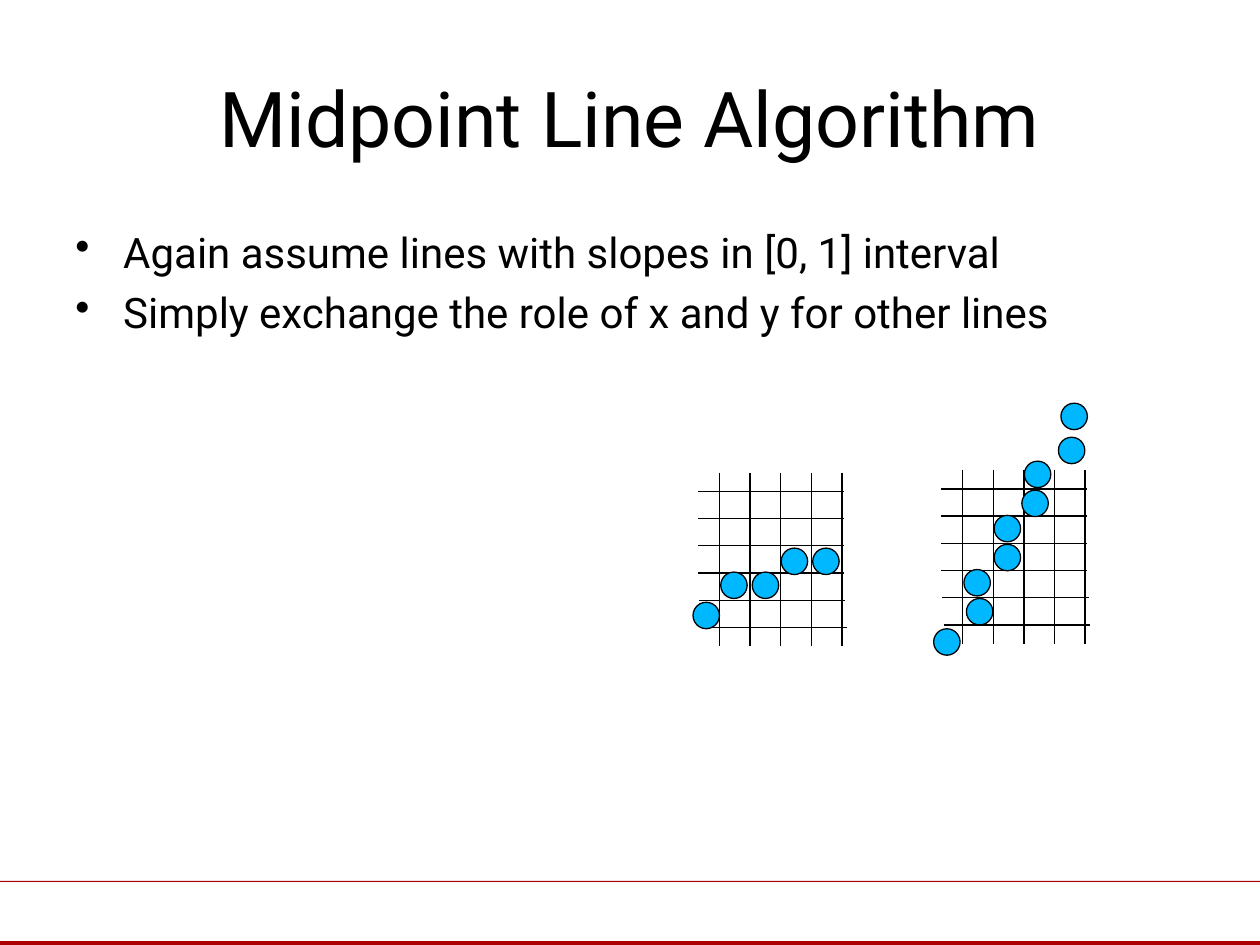
from dataclasses import dataclass
from lxml import etree
from pptx import Presentation
from pptx import util as u
from pptx.dml.color import RGBColor
from pptx.enum import shapes, text
from pptx.oxml.ns import qn


@dataclass(frozen=True)
class Theme:
    ink: RGBColor = RGBColor(0, 0, 0)
    red: RGBColor = RGBColor(0xAD, 0x01, 0x01)
    blue: RGBColor = RGBColor(0x00, 0xB8, 0xFF)
    face: str = "Roboto"
    title: int = 44
    body: int = 24
    rule: float = 0.75


class Board:
    COLS, ROWS = 100, 75

    def __init__(self, deck, theme):
        self.theme = theme
        self.unit = deck.slide_width / self.COLS
        self.slide = deck.slides.add_slide(deck.slide_layouts[6])

    def span(self, *cells):
        return [u.Emu(round(cell * self.unit)) for cell in cells]

    def style(self, para, size):
        para.font.size = u.Pt(size)
        para.font.name = self.theme.face
        para.font.color.rgb = self.theme.ink

    def frame(self, x, y, wide, high):
        box = self.slide.shapes.add_textbox(*self.span(x, y, wide, high))
        box.text_frame.word_wrap = True
        return box.text_frame

    def title(self, words, *area):
        frame = self.frame(*area)
        frame.vertical_anchor = text.MSO_ANCHOR.MIDDLE
        para = frame.paragraphs[0]
        para.text = words
        para.alignment = text.PP_ALIGN.CENTER
        self.style(para, self.theme.title)

    def list(self, items, *area):
        frame = self.frame(*area)
        for i, item in enumerate(items):
            para = frame.add_paragraph() if i else frame.paragraphs[0]
            para.text = item
            props = para._p.get_or_add_pPr()
            props.set("marL", str(u.Inches(0.38)))
            props.set("indent", str(-u.Inches(0.38)))
            if i:
                para.space_before = u.Pt(5.6)
            etree.SubElement(props, qn("a:buChar")).set("char", "•")
            self.style(para, self.theme.body)

    def bar(self, y, high):
        bar = self.slide.shapes.add_shape(
            shapes.MSO_SHAPE.RECTANGLE, *self.span(0, y, self.COLS, high))
        bar.shadow.inherit = False
        bar.fill.solid()
        bar.fill.fore_color.rgb = self.theme.red
        bar.line.fill.background()

    def pen(self, line):
        line.color.rgb = self.theme.ink
        line.width = u.Pt(self.theme.rule)

    def line(self, group, *ends):
        line = group.shapes.add_connector(
            shapes.MSO_CONNECTOR.STRAIGHT, *self.span(*ends))
        self.pen(line.line)
        etree.SubElement(line._element.spPr, qn("a:effectLst"))

    def dot(self, group, x, y):
        dot = group.shapes.add_shape(
            shapes.MSO_SHAPE.OVAL, *self.span(x, y, 2.1, 2.1))
        dot.shadow.inherit = False
        dot.fill.solid()
        dot.fill.fore_color.rgb = self.theme.blue
        self.pen(dot.line)

    def mesh(self, x, y, dots):
        group = self.slide.shapes.add_group_shape()
        for row, shift in enumerate((0, 0, 0, 0, 0.1, 0.2)):
            left, level = x - 1.7 + shift, y + 1.5 + 2.16 * row
            self.line(group, left, level, left + 11.6, level)
        for col in range(5):
            across = x + 2.43 * col
            self.line(group, across, y, across, y + 13.8)
        for dot in dots:
            self.dot(group, *dot)


def main():
    deck = Presentation()
    deck.slide_width, deck.slide_height = u.Inches(10), u.Inches(7.5)
    board = Board(deck, Theme())
    board.bar(69.9, 0.1)
    board.bar(74.7, 0.3)
    board.title("Midpoint Line Algorithm", 5, 3, 90, 12.5)
    board.list(["Again assume lines with slopes in [0, 1] interval",
                "Simply exchange the role of x and y for other lines"],
               5, 17.5, 90, 49.5)
    board.mesh(57.1, 37.5, [(55, 47.8), (57.2, 45.4), (59.7, 45.4),
                            (62, 43.5), (64.5, 43.5)])
    board.mesh(76.4, 37.3, [(74.1, 49.9), (76.7, 47.5), (76.5, 45.2),
                            (78.9, 43.2), (78.9, 40.9), (81.1, 38.9),
                            (81.3, 36.6), (84, 34.7), (84.2, 32)])
    deck.save("out.pptx")


if __name__ == "__main__":
    main()
